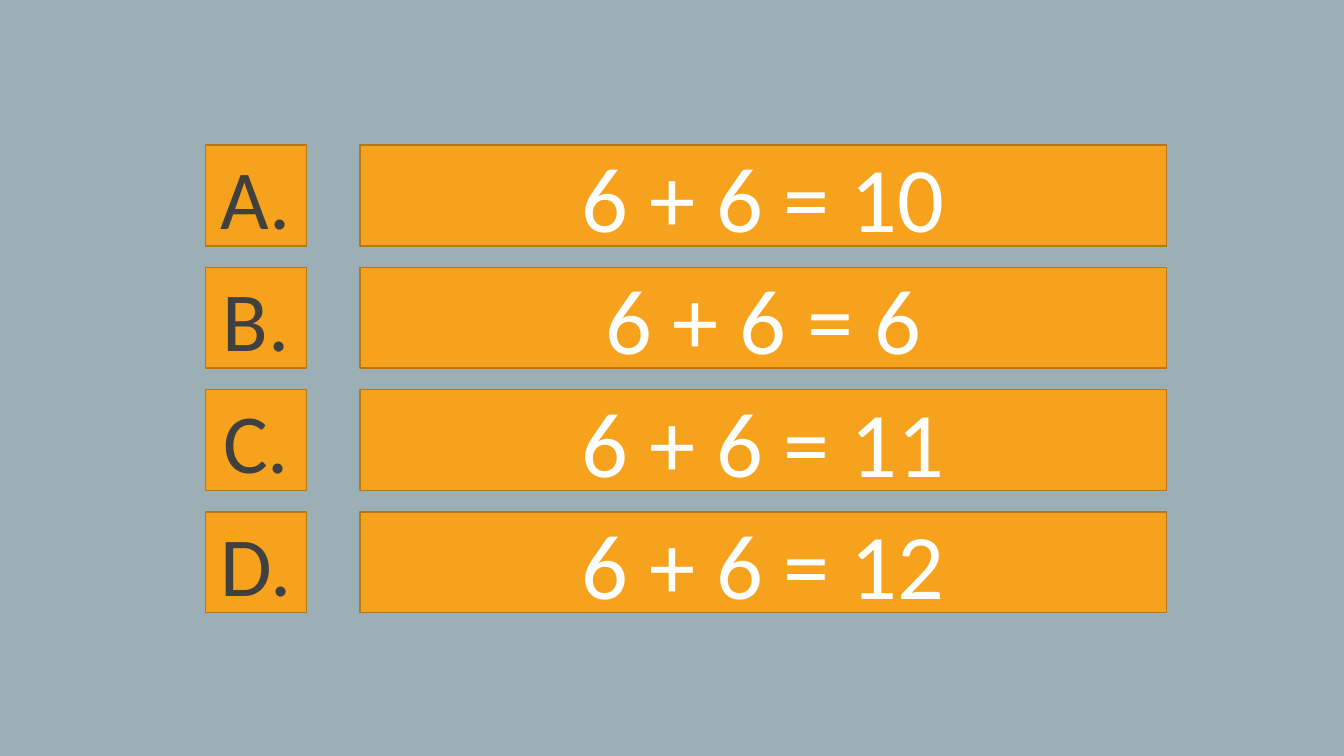
from pptx import Presentation
from pptx.dml.color import RGBColor
from pptx.enum.shapes import MSO_SHAPE as SHAPE
from pptx.enum.text import MSO_ANCHOR as ANCHOR, PP_ALIGN as ALIGN
from pptx.util import Inches, Pt

COLORS = {
    "background": "9BAFB5",
    "box": "F6A21D",
    "border": "B67815",
    "letter": "404040",
    "equation": "FFFFFF",
}
ANSWERS = [
    ("A.", "6 + 6 = 10"),
    ("B.", "6 + 6 = 6"),
    ("C.", "6 + 6 = 11"),
    ("D.", "6 + 6 = 12"),
]
LETTER_FONT = {"name": "Calibri", "size": Pt(60)}
EQUATION_FONT = {"name": "Calibri", "size": Pt(66)}


def rgb(name):
    return RGBColor.from_string(COLORS[name])


def add_box(s, left, top, width, height, text, font, color):
    sp = s.shapes.add_shape(
        SHAPE.RECTANGLE, Inches(left), Inches(top), Inches(width), Inches(height)
    )
    sp.shadow.inherit = False
    sp.fill.solid()
    sp.fill.fore_color.rgb = rgb("box")
    sp.line.color.rgb = rgb("border")
    sp.line.width = Pt(1)
    tf = sp.text_frame
    tf.word_wrap = True
    tf.vertical_anchor = ANCHOR.MIDDLE
    p = tf.paragraphs[0]
    p.alignment = ALIGN.CENTER
    r = p.add_run()
    r.text = text
    for key, value in font.items():
        setattr(r.font, key, value)
    r.font.color.rgb = rgb(color)


def add_answers(s, left, top, width, height, row_height=1, gap=0.53):
    pitch = (height - row_height) / (len(ANSWERS) - 1)
    equation_left = left + row_height + gap
    equation_width = width - row_height - gap
    for i, (letter, equation) in enumerate(ANSWERS):
        y = top + i * pitch
        add_box(s, left, y, row_height, row_height, letter, LETTER_FONT, "letter")
        add_box(s, equation_left, y, equation_width, row_height,
                equation, EQUATION_FONT, "equation")


def main():
    prs = Presentation()
    prs.slide_width, prs.slide_height = Inches(13.33), Inches(7.5)
    s = prs.slides.add_slide(prs.slide_layouts[6])
    s.background.fill.solid()
    s.background.fill.fore_color.rgb = rgb("background")
    add_answers(s, 2.04, 1.44, 9.53, 4.64)
    prs.save("out.pptx")


if __name__ == "__main__":
    main()
